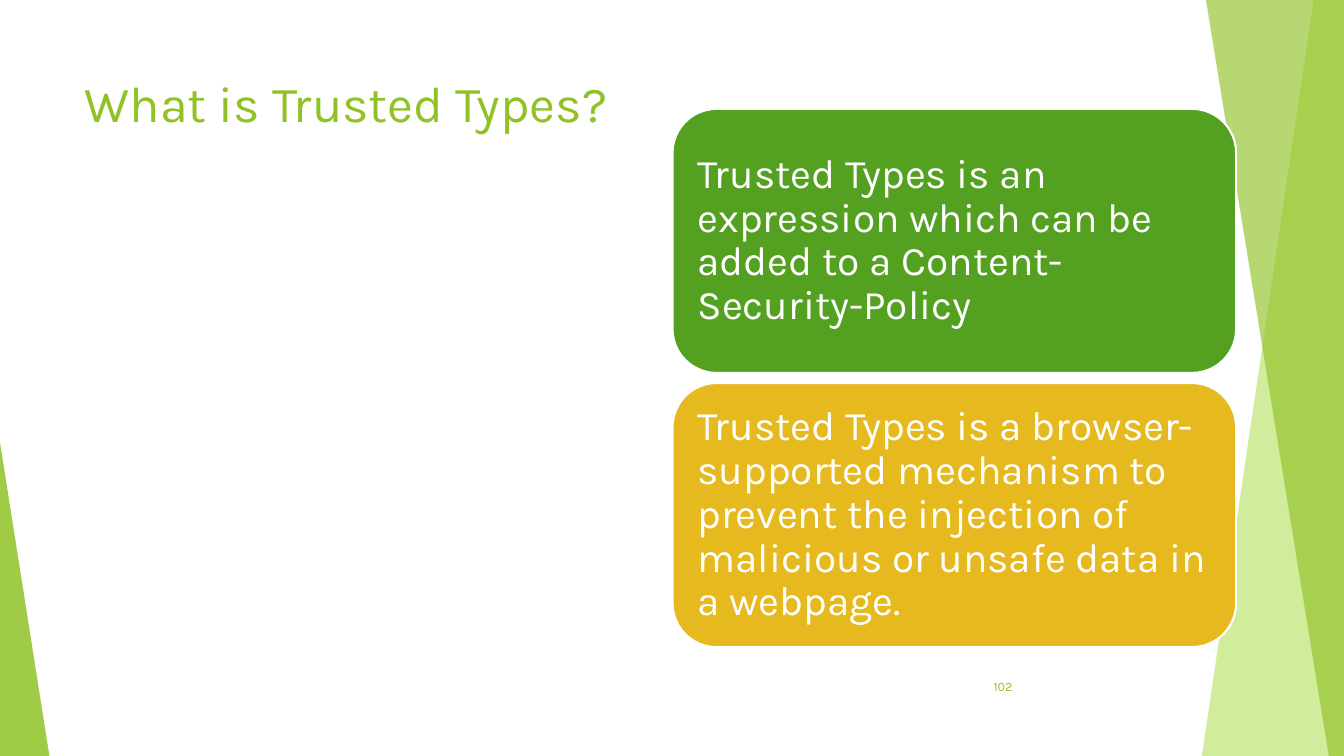
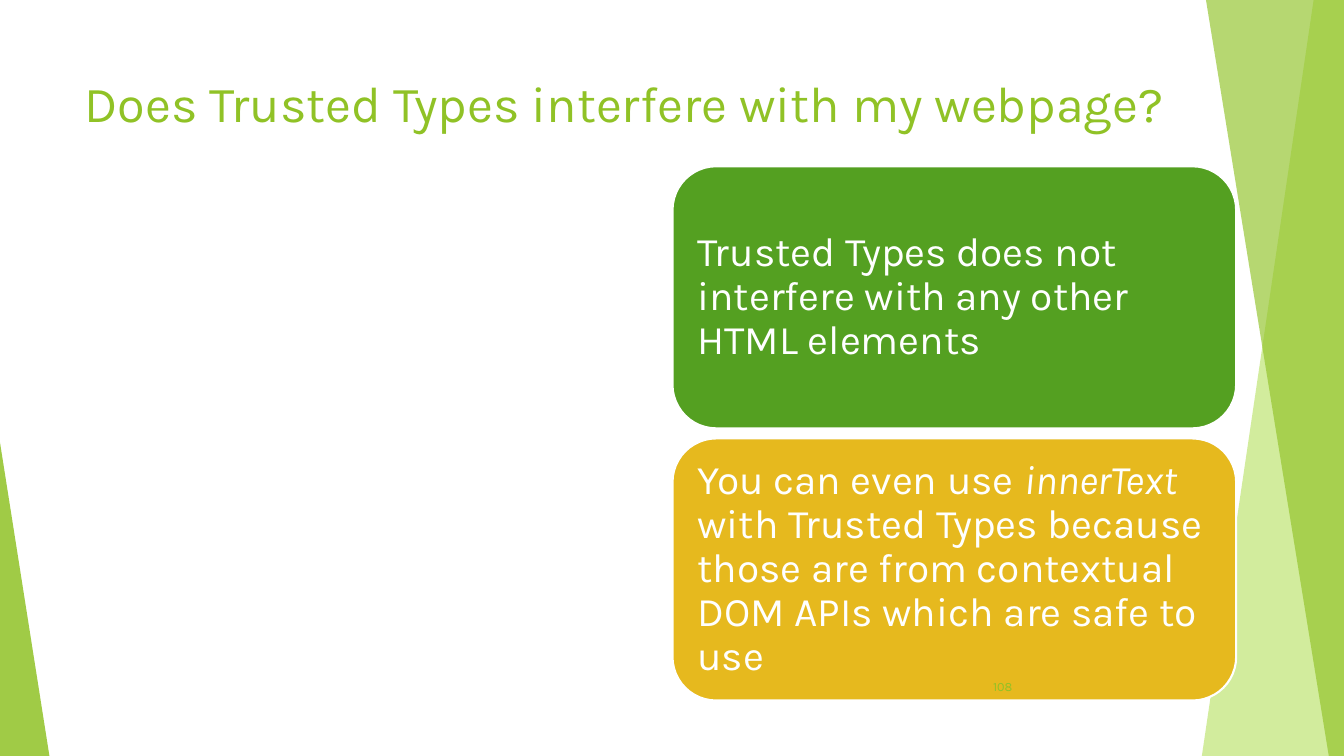
from lxml.etree import SubElement
from pptx import Presentation
from pptx.dml.color import RGBColor
from pptx.enum.shapes import MSO_SHAPE
from pptx.enum.text import MSO_ANCHOR, MSO_AUTO_SIZE, PP_ALIGN
from pptx.oxml.ns import qn
from pptx.util import Inches, Pt

COLORS = {
    "lime": "90C226",
    "pale": "C0E474",
    "green": "54A021",
    "gold": "E6B91E",
    "white": "FFFFFF",
}
FONT = "Karla"
WIDTH, HEIGHT = 13.33, 7.5
TITLE_ONLY = 5


class Deck:
    def __init__(self):
        self.file = Presentation()
        self.file.slide_width = Inches(WIDTH)
        self.file.slide_height = Inches(HEIGHT)
        self.layout = self.file.slide_layouts[TITLE_ONLY]
        self.page = None

    def add_page(self, title, title_width):
        self.page = self.file.slides.add_slide(self.layout)
        box = self.page.shapes.title
        box.left, box.top = Inches(0.74), Inches(0.67)
        box.width, box.height = Inches(title_width), Inches(1.44)
        self.add_text(box, [(title, False)], 36, "lime", MSO_ANCHOR.TOP)

    def fill(self, shape, color, opacity=100):
        shape.shadow.inherit = False
        shape.fill.solid()
        shape.fill.fore_color.rgb = RGBColor.from_string(COLORS[color])
        shape.line.fill.background()
        if opacity < 100:
            tint = shape.element.spPr.find(f"{qn('a:solidFill')}/{qn('a:srgbClr')}")
            SubElement(tint, qn("a:alpha")).set("val", str(opacity * 1000))

    def add_text(self, box, spans, size, color, anchor, align=PP_ALIGN.LEFT):
        """Fill a box with one paragraph of (text, italic) spans."""
        frame = box.text_frame
        frame.word_wrap = True
        frame.auto_size = MSO_AUTO_SIZE.NONE
        frame.vertical_anchor = anchor
        para = frame.paragraphs[0]
        para.alignment = align
        for text, italic in spans:
            span = para.add_run()
            span.text = text
            span.font.name = FONT
            span.font.size = Pt(size)
            span.font.italic = italic
            span.font.color.rgb = RGBColor.from_string(COLORS[color])
        return para

    def add_band(self, points, color, opacity):
        corners = [(Inches(x), Inches(y)) for x, y in points]
        builder = self.page.shapes.build_freeform(*corners[0])
        builder.add_line_segments(corners[1:], close=True)
        band = builder.convert_to_shape()
        self.fill(band, color, opacity)
        return band

    def add_corner(self):
        corner = self.page.shapes.add_shape(
            MSO_SHAPE.ISOSCELES_TRIANGLE,
            Inches(0), Inches(4.39), Inches(0.49), Inches(3.11))
        corner.adjustments[0] = 0
        self.fill(corner, "lime", 85)
        return corner

    def decorate_layout(self):
        """Move the side bands from the current page to its layout."""
        for holder in list(self.layout.placeholders)[1:]:
            self.layout.shapes.element.remove(holder.element)
        top = -0.01
        decor = [
            self.add_band([(13.03, top), (WIDTH, top), (WIDTH, HEIGHT),
                           (11.92, HEIGHT)], "pale", 70),
            self.add_band([(11.96, top), (WIDTH, top), (WIDTH, HEIGHT),
                           (13.18, HEIGHT)], "lime", 65),
            self.add_corner(),
        ]
        for shape in decor:
            self.layout.shapes.element.append(shape.element)

    def add_cards(self, top, height, texts, gap=0.1):
        for index, (spans, color) in enumerate(zip(texts, ("green", "gold"))):
            card = self.page.shapes.add_shape(
                MSO_SHAPE.ROUNDED_RECTANGLE,
                Inches(6.67), Inches(top + index * (height + gap)),
                Inches(5.59), Inches(height))
            self.fill(card, color)
            card.line.color.rgb = RGBColor.from_string(COLORS["white"])
            card.line.width = Pt(1.5)
            frame = card.text_frame
            frame.margin_left = frame.margin_right = Inches(0.12)
            frame.margin_top = frame.margin_bottom = Inches(0.12)
            para = self.add_text(card, spans, 29, "white", MSO_ANCHOR.MIDDLE)
            para.line_spacing = 0.9

    def add_number(self, number):
        box = self.page.shapes.add_textbox(
            Inches(9.39), Inches(6.61), Inches(0.75), Inches(0.4))
        self.add_text(box, [(str(number), False)], 9, "lime",
                      MSO_ANCHOR.MIDDLE, PP_ALIGN.RIGHT)


def main():
    deck = Deck()

    deck.add_page("What is Trusted Types?", 9.4)
    deck.decorate_layout()
    deck.add_cards(1.08, 2.62, [
        [("Trusted Types is an expression which can be added to a "
          "Content-Security-Policy", False)],
        [("Trusted Types is a browser-supported mechanism to prevent the "
          "injection of malicious or unsafe data in a webpage.", False)],
    ])
    deck.add_number(102)

    deck.add_page("Does Trusted Types interfere with my webpage?", 10.93)
    deck.add_cards(1.65, 2.6, [
        [("Trusted Types does not interfere with any other HTML elements",
          False)],
        [("You can even use ", False),
         ("innerText", True),
         (" with Trusted Types because those are from contextual DOM APIs "
          "which are safe to use", False)],
    ])
    deck.add_number(108)

    deck.file.save("out.pptx")


if __name__ == "__main__":
    main()
